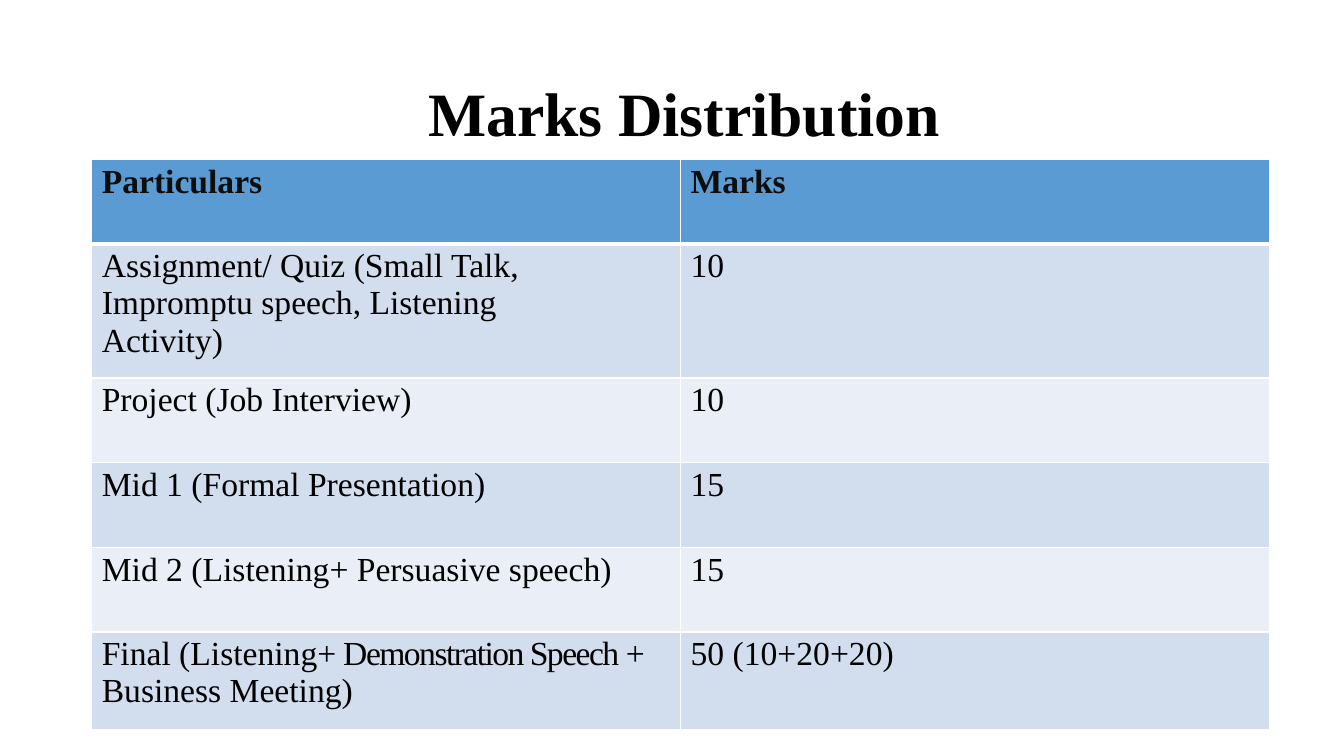
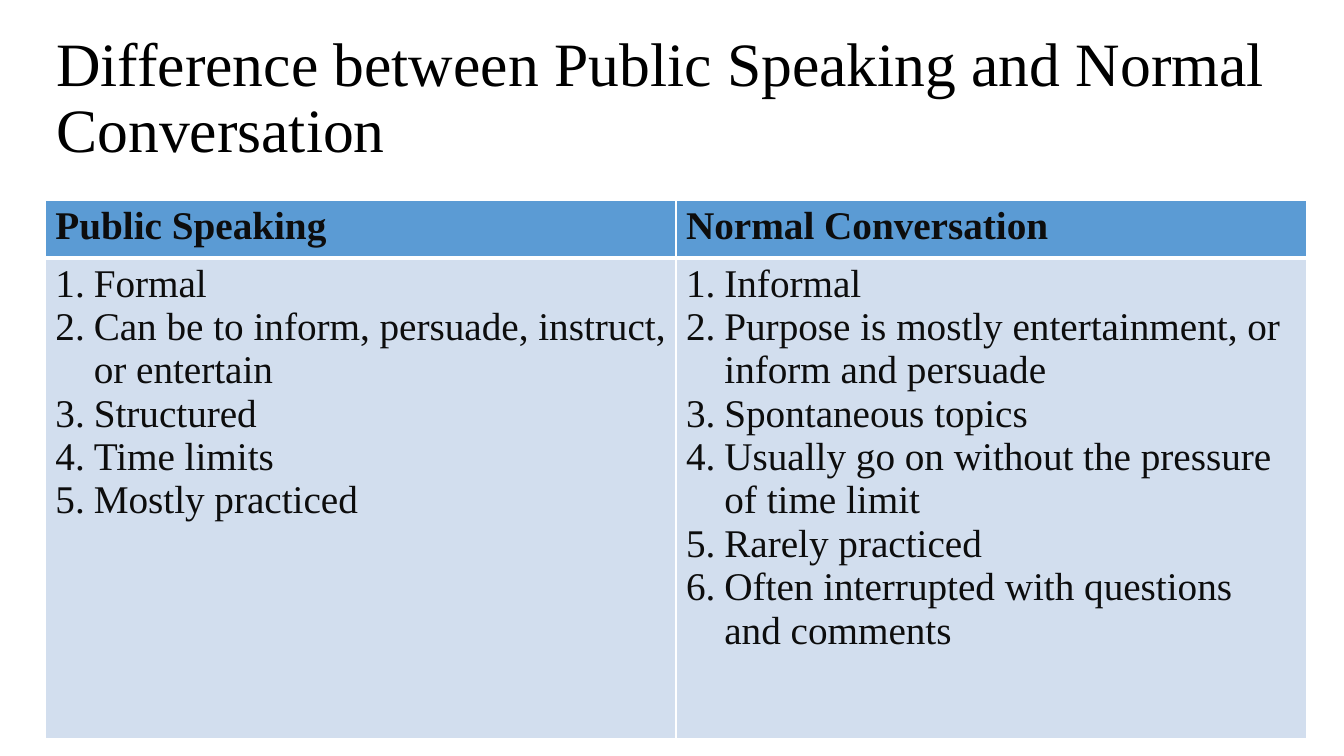
from lxml.etree import SubElement
from pptx import Presentation
from pptx.dml.color import RGBColor
from pptx.enum.text import PP_ALIGN
from pptx.oxml import parse_xml
from pptx.oxml.ns import nsdecls, qn
from pptx.util import Inches, Pt

FONT = "Times New Roman"
BLACK, INK, WHITE = "000000", "0D0D0D", "FFFFFF"
HEADER, BAND_DARK, BAND_LIGHT = "5B9BD4", "D2DEEE", "EAEEF7"

MARKS = [
    ("Assignment/ Quiz (Small Talk, Impromptu speech, Listening Activity)", "10"),
    ("Project (Job Interview)", "10"),
    ("Mid 1 (Formal Presentation)", "15"),
    ("Mid 2 (Listening+ Persuasive speech)", "15"),
    (("Final (Listening+", " Demonstration Speech ", "+ Business Meeting)"),
     "50 (10+20+20)"),
]
PUBLIC = ["Formal", "Can be to inform, persuade, instruct, or entertain",
          "Structured", "Time limits", "Mostly practiced"]
NORMAL = ["Informal", "Purpose is mostly entertainment, or inform and persuade",
          "Spontaneous topics", "Usually go on without the pressure of time limit",
          "Rarely practiced", "Often interrupted with questions and comments"]


def rgb(value):
    return RGBColor.from_string(value)


def style(p, size, color, bold=False):
    for r in p.runs:
        r.font.name = FONT
        r.font.size = Pt(size)
        r.font.bold = bold
        r.font.color.rgb = rgb(color)


def add_title(s, text, box, top, bold=False, align=PP_ALIGN.LEFT, spacing=None):
    tf = s.shapes.add_textbox(*map(Inches, box)).text_frame
    tf.word_wrap = True
    tf.margin_left = tf.margin_right = tf.margin_bottom = 0
    tf.margin_top = Inches(top)
    p = tf.paragraphs[0]
    p.text = text
    p.alignment = align
    if spacing:
        p.line_spacing = Pt(spacing)
    style(p, 44, BLACK, bold)


def set_borders(cell, row):
    widths = {"L": 1, "R": 1, "T": 3 if row == 1 else 1, "B": 3 if row == 0 else 1}
    tcPr = cell._tc.get_or_add_tcPr()
    for i, (side, width) in enumerate(widths.items()):
        tcPr.insert(i, parse_xml(
            f'<a:ln{side} {nsdecls("a")} w="{Pt(width)}"><a:solidFill>'
            f'<a:srgbClr val="{WHITE}"/></a:solidFill></a:ln{side}>'))


def number(p):
    pPr = p._p.get_or_add_pPr()
    pPr.set("marL", str(Inches(0.38)))
    pPr.set("indent", str(-Inches(0.38)))
    SubElement(pPr, qn("a:buFont"), typeface="+mj-lt")
    SubElement(pPr, qn("a:buAutoNum"), type="arabicPeriod")


def fill_cell(cell, content, row, size, color):
    cell.margin_left, cell.margin_top = Inches(0.1), Inches(0.04)
    cell.margin_right = cell.margin_bottom = 0
    cell.fill.solid()
    cell.fill.fore_color.rgb = rgb(
        HEADER if row == 0 else BAND_DARK if row % 2 else BAND_LIGHT)
    set_borders(cell, row)
    tf = cell.text_frame
    if isinstance(content, list):
        tf.text = "\n".join(content)
        for p in tf.paragraphs:
            number(p)
    elif isinstance(content, tuple):
        for part in content:
            tf.paragraphs[0].add_run().text = part
    else:
        tf.text = content
    for p in tf.paragraphs:
        style(p, size, INK if row == 0 else color, row == 0)


def add_grid(s, left, top, width, heights, rows, size, color):
    frame = s.shapes.add_table(len(rows), len(rows[0]), Inches(left), Inches(top),
                               Inches(width), Inches(sum(heights)))
    table = frame.table
    table.first_row = table.horz_banding = False
    for col in table.columns:
        col.width = Inches(width / len(rows[0]))
    for i, (height, row) in enumerate(zip(heights, rows)):
        table.rows[i].height = Inches(height)
        for j, content in enumerate(row):
            fill_cell(table.cell(i, j), content, i, size, color)
    return table


def marks_slide(prs):
    s = prs.slides.add_slide(prs.slide_layouts[6])
    add_title(s, "Marks Distribution", (1.02, 0.22, 11.54, 1.21), 0.52,
              bold=True, align=PP_ALIGN.CENTER)
    table = add_grid(s, 0.91, 1.58, 11.68, [0.84, 1.33, 0.84, 0.84, 0.84, 0.97],
                     [("Particulars", "Marks")] + MARKS, 24, BLACK)
    table.cell(1, 0).margin_right = Inches(0.8)
    final = table.cell(5, 0).text_frame.paragraphs[0]
    final.runs[1].font._element.set("spc", "-110")


def difference_slide(prs):
    s = prs.slides.add_slide(prs.slide_layouts[6])
    add_title(s, "Difference between Public Speaking and Normal Conversation",
              (0.56, 0.22, 12.2, 1.56), 0.1, spacing=47.5)
    table = add_grid(s, 0.45, 1.99, 12.51, [0.57, 4.77],
                     [("Public Speaking", "Normal Conversation"), (PUBLIC, NORMAL)],
                     28, INK)
    table.cell(1, 1).margin_right = Inches(0.2)


def main():
    prs = Presentation()
    prs.slide_width, prs.slide_height = Inches(13.33), Inches(7.5)
    marks_slide(prs)
    difference_slide(prs)
    prs.save("out.pptx")


if __name__ == "__main__":
    main()
